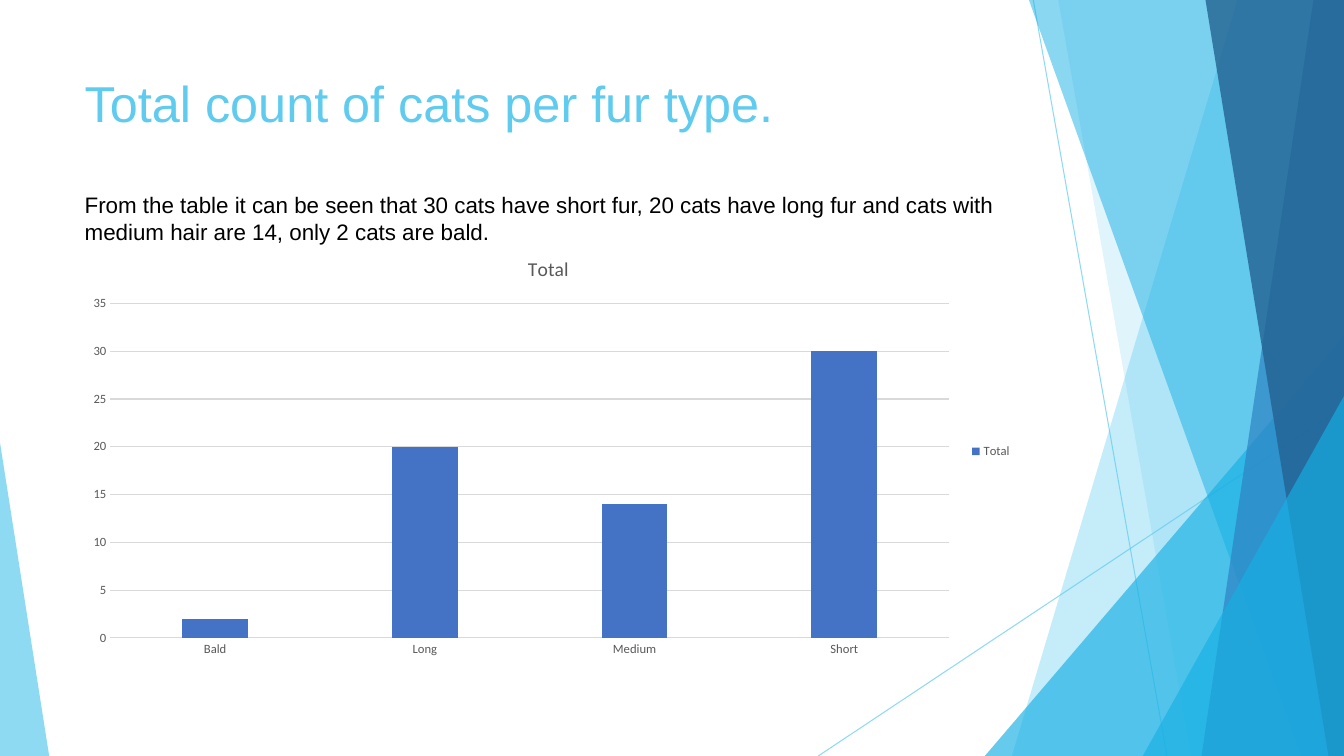
from pptx import Presentation
from pptx.chart.data import CategoryChartData as ChartData
from pptx.dml.color import RGBColor as Rgb
from pptx.enum.chart import XL_CHART_TYPE as Kind, XL_LEGEND_POSITION as Side, XL_TICK_MARK as Tick
from pptx.enum.shapes import MSO_CONNECTOR as Link
from pptx.enum.text import MSO_ANCHOR as Anchor, MSO_AUTO_SIZE as Auto, PP_ALIGN as Align
from pptx.oxml.ns import qn
from pptx.util import Cm, Pt
from lxml.etree import SubElement

WIDE, HIGH = 33.87, 19.05
SKY, CYAN, BLUE, NAVY = "5FCBEF", "17B0E4", "2E83C3", "236292"
GREY, PALE, BAR = "595959", "D9D9D9", "4472C4"

TITLE = "Total count of cats per fur type."
NOTE = ("From the table it can be seen that 30 cats have short fur, 20 cats "
        "have long fur and cats with medium hair are 14, only 2 cats are bald.")
CATS = {"Bald": 2, "Long": 20, "Medium": 14, "Short": 30}
SERIES = "Total"
LEFT, SPAN = 1.88, 23.88


def slant(top, foot):
    """Corners of a full-height panel with a slanted left edge."""
    return [(top, 0), (WIDE, 0), (WIDE, HIGH), (foot, HIGH)]


def wedge(foot, peak):
    """Corners of a triangle in the lower right corner."""
    return [(foot, HIGH), (WIDE, peak), (WIDE, HIGH)]


RAYS = [(26.04, 0, 29.41, HIGH), (WIDE, 10.24, 20.62, HIGH)]
PANELS = [
    (slant(31.19, 25.5), SKY, 36),
    (slant(26.67, 30.02), SKY, 20),
    (wedge(24.82, 8.46), CYAN, 66),
    (slant(25.93, 32.79), CYAN, 50),
    (slant(33.1, 30.28), BLUE, 70),
    (slant(30.38, 33.48), NAVY, 80),
    (wedge(28.8, 9.98), CYAN, 66),
    ([(0, HIGH), (0, 11.15), (1.24, HIGH)], SKY, 70),
]


def tint(part, color):
    """Give a fill a solid colour."""
    part.solid()
    part.fore_color.rgb = Rgb.from_string(color)


def fade(shape, share):
    """Set the opacity of a shape's colour in percent."""
    for node in shape.element.spPr.iter(qn("a:srgbClr")):
        SubElement(node, qn("a:alpha"), val=str(share * 1000))


def style(font, size=9, color=GREY, face="Calibri"):
    """Set size, colour and face of a font."""
    font.size, font.name, font.bold = Pt(size), face, False
    tint(font.fill, color)


def write(para, text, align=None, before=0, **look):
    """Put formatted text into a paragraph."""
    para.alignment = align
    para.space_before = Pt(before)
    run = para.add_run()
    run.text = text
    style(run.font, **look)


def draw_ray(slide, ends):
    """Draw a thin line."""
    ray = slide.shapes.add_connector(Link.STRAIGHT, *map(Cm, ends))
    tint(ray.line.fill, SKY)
    ray.line.width = Pt(0.74)
    fade(ray, 70)
    SubElement(ray.element.spPr, qn("a:effectLst"))


def draw_panel(slide, spots, color, share):
    """Draw a see-through polygon."""
    first, *rest = [(Cm(x), Cm(y)) for x, y in spots]
    pen = slide.shapes.build_freeform(*first)
    pen.add_line_segments(rest)
    panel = pen.convert_to_shape()
    panel.shadow.inherit = False
    panel.line.fill.background()
    tint(panel.fill, color)
    fade(panel, share)


def fill_title(slide):
    """Place the heading and the note in the title placeholder."""
    title = slide.shapes.title
    title.left, title.top = Cm(LEFT), Cm(1.7)
    title.width, title.height = Cm(SPAN), Cm(6.45)
    frame = title.text_frame
    frame.word_wrap, frame.auto_size = True, Auto.NONE
    frame.vertical_anchor = Anchor.TOP
    write(frame.paragraphs[0], TITLE, Align.LEFT, size=36, color=SKY, face="Arial")
    write(frame.add_paragraph(), NOTE, Align.LEFT, before=41.4,
          size=16, color="000000", face="Arial")


def draw_chart(slide):
    """Add the column chart of cats per fur type."""
    data = ChartData(number_format="General")
    data.categories = list(CATS)
    data.add_series(SERIES, list(CATS.values()))
    box = map(Cm, (LEFT, 5.99, SPAN, 10.77))
    chart = slide.shapes.add_chart(Kind.COLUMN_CLUSTERED, *box, data).chart
    style(chart.font, size=10, color="000000", face="Arial")
    chart.has_title = True
    write(chart.chart_title.text_frame.paragraphs[0], SERIES, size=14)
    chart.chart_title.include_in_layout = False
    chart.has_legend = True
    chart.legend.position = Side.RIGHT
    chart.legend.include_in_layout = False
    style(chart.legend.font)

    plot = chart.plots[0]
    plot.gap_width, plot.overlap = 219, -27
    plot.vary_by_categories = False
    tint(plot.series[0].format.fill, BAR)

    base, scale = chart.category_axis, chart.value_axis
    for axis in (base, scale):
        axis.major_tick_mark = axis.minor_tick_mark = Tick.NONE
        style(axis.tick_labels.font)
    scale.format.line.fill.background()
    scale.has_major_gridlines = True
    for line in (base.format.line, scale.major_gridlines.format.line):
        tint(line.fill, PALE)
        line.width = Pt(0.74)


deck = Presentation()
deck.slide_width, deck.slide_height = Cm(WIDE), Cm(HIGH)
page = deck.slides.add_slide(deck.slide_layouts[5])
for ends in RAYS:
    draw_ray(page, ends)
for panel in PANELS:
    draw_panel(page, *panel)
fill_title(page)
draw_chart(page)
deck.save("out.pptx")
